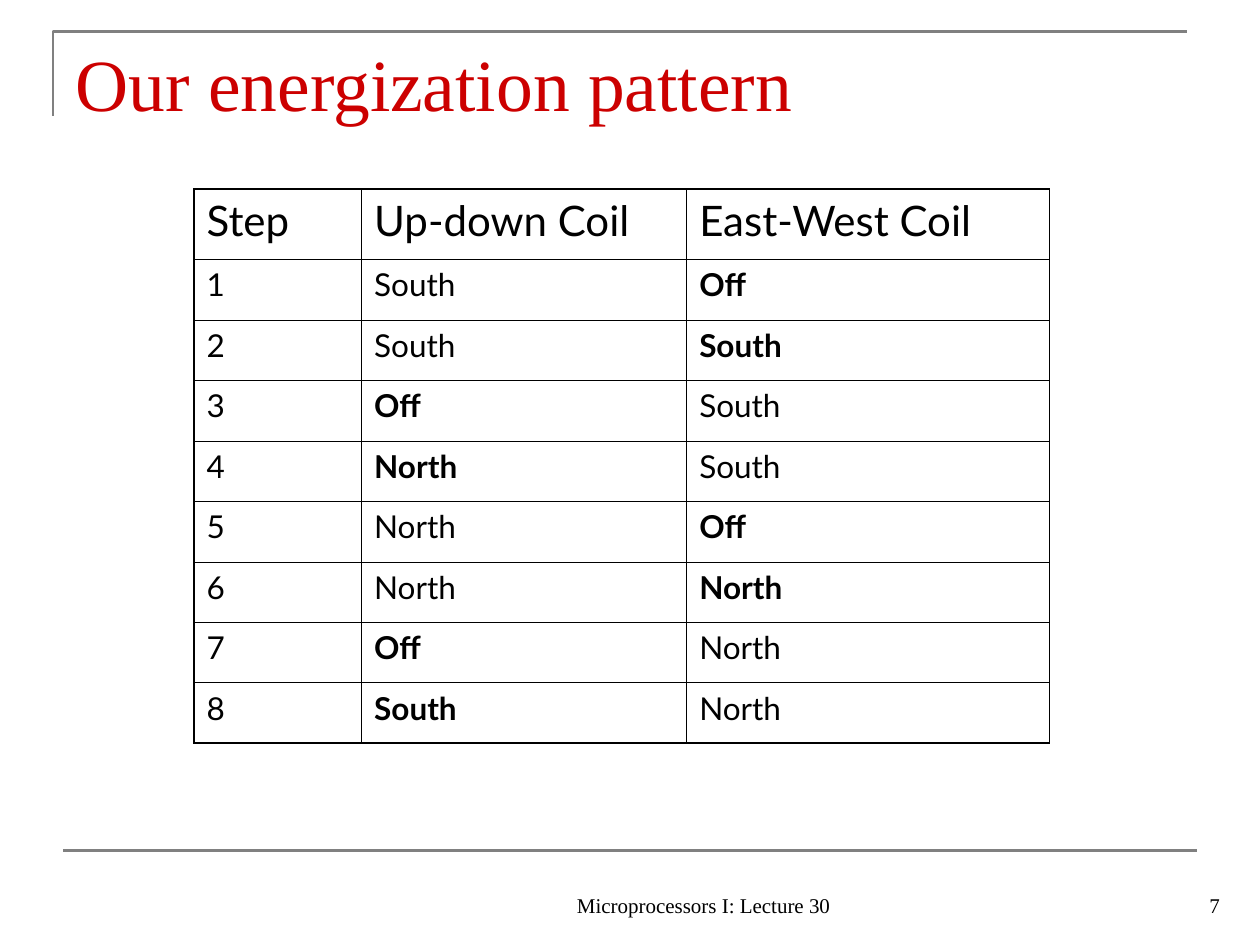
from lxml import etree
from pptx import Presentation
from pptx.dml.color import RGBColor
from pptx.enum.text import MSO_ANCHOR, MSO_AUTO_SIZE, PP_ALIGN
from pptx.enum.shapes import MSO_CONNECTOR
from pptx.oxml.ns import qn
from pptx.util import Inches, Pt

LEFT, MID, RIGHT = PP_ALIGN.LEFT, PP_ALIGN.CENTER, PP_ALIGN.RIGHT
CENTER, BOTTOM = MSO_ANCHOR.MIDDLE, MSO_ANCHOR.BOTTOM
FIXED = MSO_AUTO_SIZE.NONE
STRAIGHT = MSO_CONNECTOR.STRAIGHT
TITLE_ONLY = 5

BLACK = RGBColor(0x00, 0x00, 0x00)
GRAY = RGBColor(0x80, 0x80, 0x80)
RED = RGBColor(0xCC, 0x00, 0x00)
SERIF, SANS = "Times New Roman", "Lato"
THIN, THICK = Pt(0.45), Pt(1.08)

HEADS = ["Step", "Up-down Coil", "East-West Coil"]
STATES = [
    ("South", "Off"), ("South", "South"), ("Off", "South"), ("North", "South"),
    ("North", "Off"), ("North", "North"), ("Off", "North"), ("South", "North"),
]
WIDTHS = [1.33, 2.58, 2.88]
HEAD_ROW, STEP_ROW = 0.56, 0.48


class Page:
    def __init__(self, slide):
        self.slide = slide
        self.shapes = slide.shapes

    def style(self, frame, size, name, color=BLACK, align=LEFT, bold=False):
        for para in frame.paragraphs:
            para.alignment = align
            for run in para.runs:
                font = run.font
                font.size, font.name, font.bold = Pt(size), name, bold
                font.color.rgb = color

    def title(self, text, x, y, w, h):
        box = self.shapes.title
        box.left, box.top, box.width, box.height = map(Inches, (x, y, w, h))
        frame = box.text_frame
        frame.text = text
        frame.auto_size = FIXED
        frame.vertical_anchor = CENTER
        self.style(frame, 42, SERIF, RED)

    def label(self, text, x, y, w, h, align):
        frame = self.shapes.add_textbox(*map(Inches, (x, y, w, h))).text_frame
        frame.text = text
        frame.word_wrap = True
        frame.vertical_anchor = BOTTOM
        self.style(frame, 12, SERIF, align=align)

    def rule(self, x1, y1, x2, y2):
        line = self.shapes.add_connector(STRAIGHT, *map(Inches, (x1, y1, x2, y2)))
        line.line.color.rgb, line.line.width = GRAY, Pt(1.5)
        etree.SubElement(line.element.spPr, qn("a:effectLst"))

    def corner(self, x, y, w, h):
        path = self.shapes.build_freeform(Inches(x), Inches(y + h))
        ends = [(Inches(x), Inches(y)), (Inches(x + w), Inches(y))]
        path.add_line_segments(ends, close=False)
        shape = path.convert_to_shape()
        shape.shadow.inherit = False
        shape.fill.background()
        shape.line.color.rgb, shape.line.width = GRAY, Pt(1.5)

    def border(self, cell, side, width):
        props = cell._tc.get_or_add_tcPr()
        line = etree.SubElement(props, qn(f"a:ln{side}"), w=str(int(width)))
        fill = etree.SubElement(line, qn("a:solidFill"))
        etree.SubElement(fill, qn("a:srgbClr"), val=str(BLACK))

    def table(self, rows, bold, x, y):
        """Draw a grid with a thick outer edge; bold holds (row, column) pairs."""
        last, end = len(rows) - 1, len(WIDTHS) - 1
        high = HEAD_ROW + last * STEP_ROW
        table = self.shapes.add_table(
            len(rows), len(WIDTHS),
            *map(Inches, (x, y, sum(WIDTHS), high))).table
        table.first_row = table.horz_banding = False
        for col, width in zip(table.columns, WIDTHS):
            col.width = Inches(width)
        for r, row in enumerate(rows):
            table.rows[r].height = Inches(STEP_ROW if r else HEAD_ROW)
            for c, text in enumerate(row):
                cell = table.cell(r, c)
                edges = {"L": c == 0, "R": c == end, "T": r == 0, "B": r == last}
                for side, outer in edges.items():
                    self.border(cell, side, THICK if outer else THIN)
                cell.fill.background()
                cell.text = text
                self.style(cell.text_frame, 18 if r else 24, SANS,
                           bold=(r, c) in bold)


def changes():
    """Find the cells whose coil differs from the step before, in a cycle."""
    return {(r + 1, c + 1) for r, state in enumerate(STATES)
            for c, coil in enumerate(state) if coil != STATES[r - 1][c]}


def main():
    deck = Presentation()
    deck.slide_width, deck.slide_height = Inches(10), Inches(7.5)
    page = Page(deck.slides.add_slide(deck.slide_layouts[TITLE_ONLY]))
    page.corner(0.42, 0.25, 9, 0.67)
    page.rule(0.5, 6.75, 9.5, 6.75)
    page.label("Microprocessors I: Lecture 30", 4, 6.83, 3.17, 0.5, MID)
    page.label("7", 7.7, 6.83, 2.08, 0.5, RIGHT)
    page.title("Our energization pattern", 0.5, 0.23, 9.28, 0.85)
    steps = [(str(n), *state) for n, state in enumerate(STATES, 1)]
    page.table([HEADS] + steps, changes(), 1.54, 1.5)
    deck.save("out.pptx")


if __name__ == "__main__":
    main()
